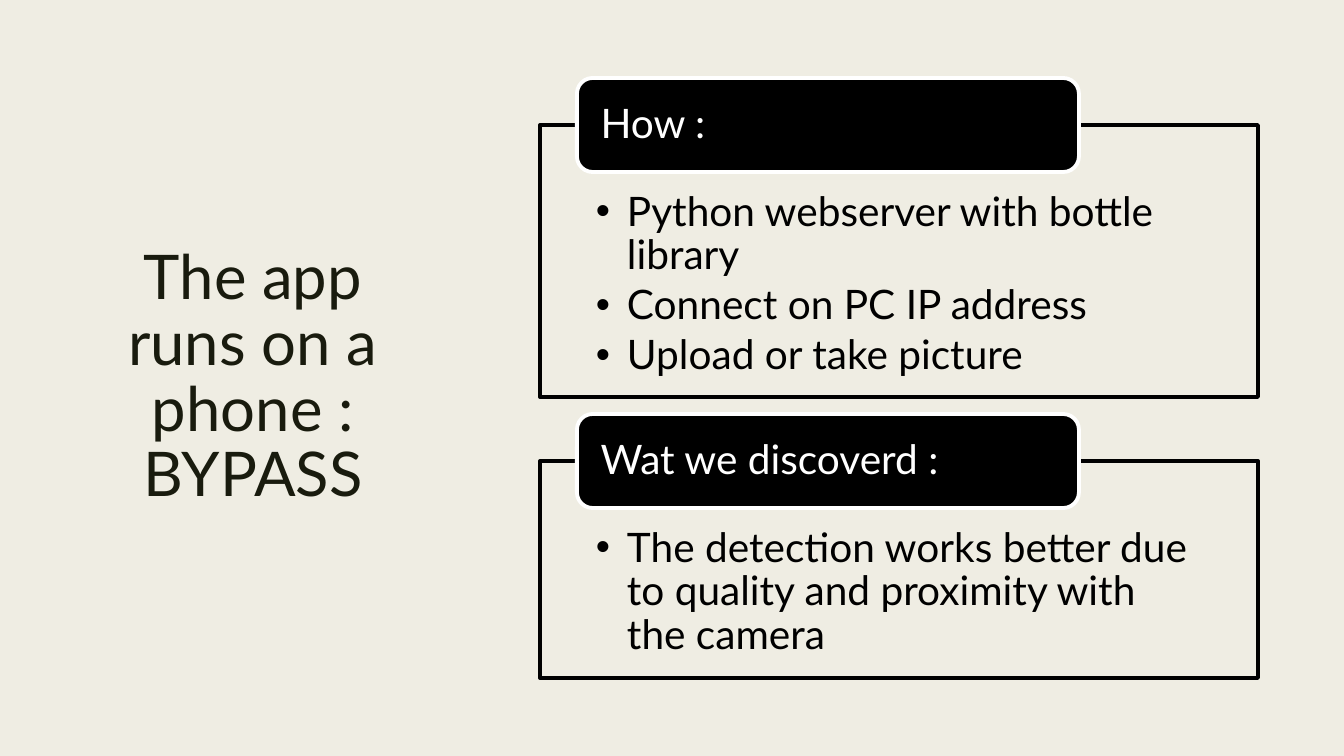
from lxml.etree import SubElement
from pptx import Presentation
from pptx.dml.color import RGBColor
from pptx.enum.shapes import MSO_SHAPE
from pptx.enum.text import MSO_ANCHOR, MSO_AUTO_SIZE, PP_ALIGN
from pptx.oxml.ns import qn
from pptx.util import Emu, Pt

COLORS = {"paper": "EFEDE3", "olive": "191B0E", "black": "000000", "white": "FFFFFF"}
SCALE = 914400 / 100.8
FONT = "Lato"


def px(n):
    return Emu(round(n * SCALE))


def style(para, size, color, space):
    para.font.name = FONT
    para.font.size = Pt(size)
    para.font.color.rgb = RGBColor.from_string(COLORS[color])
    para.line_spacing = space
    para.space_before = Pt(0)


deck = Presentation()
deck.slide_width, deck.slide_height = px(1344), px(756)
slide = deck.slides.add_slide(deck.slide_layouts[3])
slide.background.fill.solid()
slide.background.fill.fore_color.rgb = RGBColor.from_string(COLORS["paper"])

# Title
title = slide.shapes.title
title.left, title.top, title.width, title.height = px(71), px(71), px(364), px(615)
frame = title.text_frame
frame.text = "The app runs on a phone : BYPASS"
frame.auto_size = MSO_AUTO_SIZE.NONE
frame.vertical_anchor = MSO_ANCHOR.MIDDLE
frame.margin_left = frame.margin_right = px(15)
para = frame.paragraphs[0]
para.alignment = PP_ALIGN.CENTER
style(para, 44, "olive", 0.89)

# Framed lists, each with a heading tab on its top edge
PANELS = [
    (125, 272, "How :", [
        "Python webserver with bottle library",
        "Connect on PC IP address",
        "Upload or take picture",
    ]),
    (461, 217, "Wat we discoverd :", [
        "The detection works better due to quality and proximity with the camera",
    ]),
]
for slot, (top, height, head, items) in enumerate(PANELS, 1):
    # List
    body = slide.placeholders[slot]
    body.left, body.top, body.width, body.height = px(540), px(top), px(718), px(height)
    body.line.color.rgb = RGBColor.from_string(COLORS["black"])
    body.line.width = Pt(2.75)
    frame = body.text_frame
    frame.text = "\n".join(items)
    frame.auto_size = MSO_AUTO_SIZE.NONE
    frame.vertical_anchor = MSO_ANCHOR.TOP
    frame.margin_left = frame.margin_right = px(56)
    frame.margin_top, frame.margin_bottom = px(66), px(23)
    for para in frame.paragraphs:
        para.level = 1
        props = para._p.get_or_add_pPr()
        props.set("marL", str(px(31)))
        props.set("indent", str(-px(31)))
        SubElement(props, qn("a:buFont"), typeface="Arial")
        SubElement(props, qn("a:buChar"), char="•")
        style(para, 29, "black", 0.9)
        para.space_after = Pt(4.4)

    # Heading tab
    tab = slide.shapes.add_shape(
        MSO_SHAPE.ROUNDED_RECTANGLE, px(577), px(top - 47), px(502), px(94))
    tab.shadow.inherit = False
    tab.fill.solid()
    tab.fill.fore_color.rgb = RGBColor.from_string(COLORS["black"])
    tab.line.color.rgb = RGBColor.from_string(COLORS["white"])
    tab.line.width = Pt(2.75)
    frame = tab.text_frame
    frame.text = head
    frame.word_wrap = True
    frame.vertical_anchor = MSO_ANCHOR.MIDDLE
    frame.margin_left = frame.margin_right = px(19)
    frame.margin_top = frame.margin_bottom = 0
    para = frame.paragraphs[0]
    para.alignment = PP_ALIGN.LEFT
    style(para, 29, "white", 0.9)

deck.save("out.pptx")
